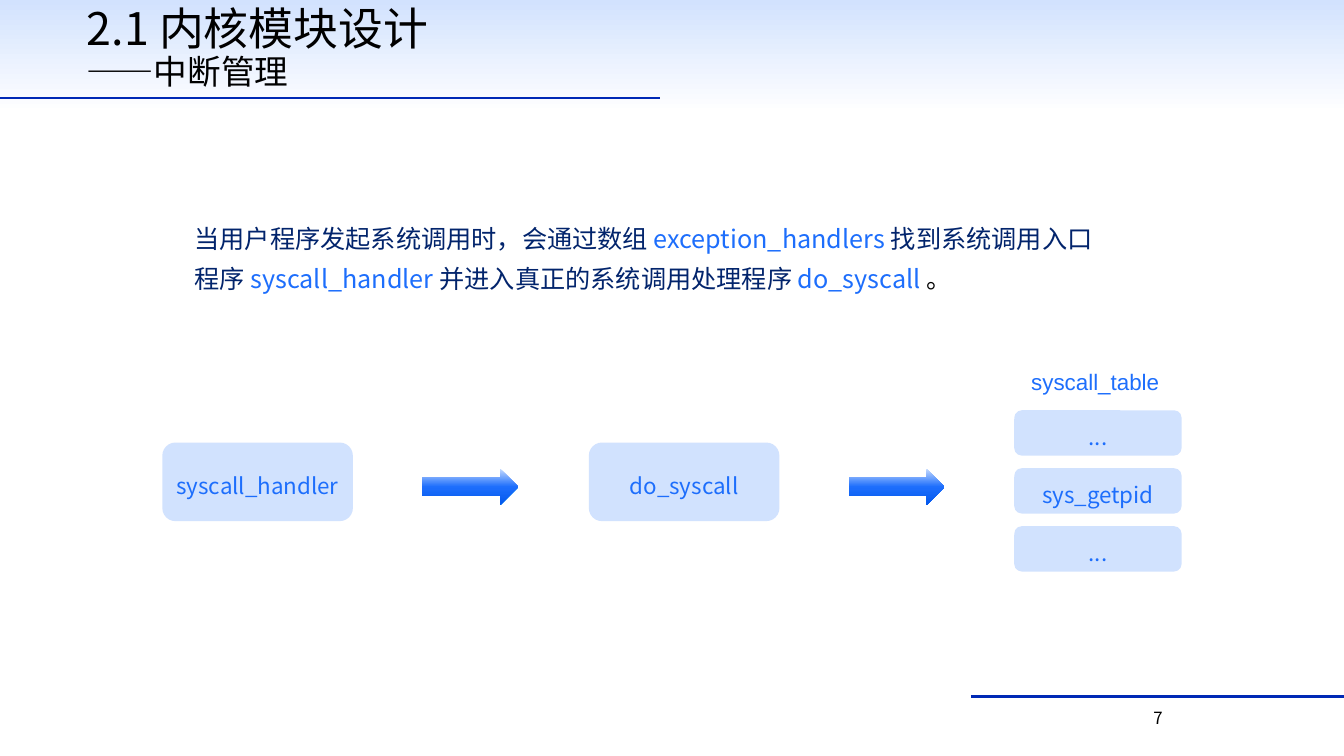
"""Build the interrupt management slide."""
from dataclasses import dataclass

from lxml import etree
from pptx import Presentation
from pptx import util as u
from pptx.dml.color import RGBColor
from pptx.enum import shapes, text
from pptx.oxml.ns import qn


@dataclass(frozen=True)
class Theme:
    """Colours, fonts and type sizes."""
    black: str = "000000"
    navy: str = "02246C"
    blue: str = "1D6EFC"
    rule: str = "0029B5"
    backdrop: tuple = ((85, "FFFFFF"), (100, "D2E2FE"))
    arrow: tuple = ((0, "C6DBFE"), (50, "1D6EFC"), (100, "0358EC"))
    tint: int = 20
    font: str = "Noto Sans CJK SC"
    font_dots: str = "Noto Sans CJK JP"
    font_label: str = "Arial"
    title: int = 32
    subtitle: int = 24
    body: int = 18
    label: int = 16
    page: int = 12
    rule_width: float = 1.75
    spacing: float = 1.3


class Deck:
    """Holds the theme and the current slide."""

    def __init__(self, prs, theme):
        """Add a title-only slide with a gradient background."""
        self.t = theme
        self.s = prs.slides.add_slide(prs.slide_layouts[5])
        self.gradient(self.s.background.fill, self.s._element, theme.backdrop, 90)

    def gradient(self, fill, element, stops, angle):
        """Give a fill a linear gradient with the listed stops."""
        fill.gradient()
        fill.gradient_angle = angle
        gs_list = next(element.iter(qn("a:gsLst")))
        for gs in list(gs_list):
            gs_list.remove(gs)
        for pos, colour in stops:
            gs = etree.SubElement(gs_list, qn("a:gs"), pos=str(pos * 1000))
            etree.SubElement(gs, qn("a:srgbClr"), val=colour)

    def run(self, p, words, size, colour, font=None):
        """Append a formatted run to a paragraph."""
        r = p.add_run()
        r.text = words
        face = font or self.t.font
        for name, value in {"size": u.Pt(size), "name": face}.items():
            setattr(r.font, name, value)
        r.font.color.rgb = RGBColor.from_string(colour)
        etree.SubElement(r._r.get_or_add_rPr(), qn("a:ea"), typeface=face)

    def frame(self, sp, align, spacing, **fmt):
        """Format a text frame and return its first paragraph."""
        for name, value in fmt.items():
            setattr(sp.text_frame, name, value)
        p = sp.text_frame.paragraphs[0]
        for name, value in {"alignment": align, "line_spacing": spacing}.items():
            setattr(p, name, value)
        return p

    def title(self, box, heading, subheading):
        """Place the two-line title."""
        sp = self.s.shapes.title
        sp.left, sp.top, sp.width, sp.height = map(u.Inches, box)
        p = self.frame(sp, text.PP_ALIGN.LEFT, 0.9, word_wrap=False,
                       auto_size=text.MSO_AUTO_SIZE.NONE,
                       vertical_anchor=text.MSO_ANCHOR.BOTTOM)
        self.run(p, heading, self.t.title, self.t.black)
        p.add_line_break()
        self.run(p, subheading, self.t.subtitle, self.t.black)

    def textbox(self, box, runs, size, font=None, align=text.PP_ALIGN.LEFT, wrap=True):
        """Add a text box made of (words, colour) runs."""
        sp = self.s.shapes.add_textbox(*map(u.Inches, box))
        p = self.frame(sp, align, self.t.spacing, word_wrap=wrap,
                       auto_size=text.MSO_AUTO_SIZE.SHAPE_TO_FIT_TEXT)
        for words, colour in runs:
            self.run(p, words, size, colour, font)

    def shape(self, kind, box):
        """Add a preset shape without line or shadow."""
        sp = self.s.shapes.add_shape(kind, *map(u.Inches, box))
        sp.shadow.inherit = False
        sp.line.fill.background()
        return sp

    def node(self, box, words, font=None, wrap=False):
        """Add a tinted rounded box with a centred label."""
        sp = self.shape(shapes.MSO_SHAPE.ROUNDED_RECTANGLE, box)
        sp.fill.solid()
        sp.fill.fore_color.rgb = RGBColor.from_string(self.t.blue)
        colour = next(sp._element.spPr.iter(qn("a:srgbClr")))
        etree.SubElement(colour, qn("a:alpha"), val=str(self.t.tint * 1000))
        p = self.frame(sp, text.PP_ALIGN.CENTER, self.t.spacing, word_wrap=wrap,
                       vertical_anchor=text.MSO_ANCHOR.MIDDLE)
        self.run(p, words, self.t.label, self.t.blue, font)

    def arrow(self, box):
        """Add a block arrow with a gradient fill."""
        sp = self.shape(shapes.MSO_SHAPE.RIGHT_ARROW, box)
        self.gradient(sp.fill, sp._element, self.t.arrow, 270)

    def rule(self, left, right, top):
        """Add a horizontal rule."""
        ends = map(u.Inches, (left, top, right, top))
        sp = self.s.shapes.add_connector(shapes.MSO_CONNECTOR.STRAIGHT, *ends)
        sp.line.width = u.Pt(self.t.rule_width)
        sp.line.color.rgb = RGBColor.from_string(self.t.rule)
        etree.SubElement(sp._element.spPr, qn("a:effectLst"))


def main():
    """Build and save the slide."""
    prs = Presentation()
    prs.slide_width, prs.slide_height = u.Inches(13.33), u.Inches(7.5)
    t = Theme()
    d = Deck(prs, t)

    d.title((0.76, 0.07, 4.09, 0.89), "2.1 内核模块设计", "——中断管理")
    d.rule(0, 6.55, 0.97)
    d.rule(9.63, 13.33, 6.91)

    d.textbox((1.83, 2.08, 9.33, 0.89), [
        ("当用户程序发起系统调用时，会通过数组", t.navy),
        (" exception_handlers ", t.blue),
        ("找到系统调用入口程序", t.navy),
        (" syscall_handler ", t.blue),
        ("并进入真正的系统调用处理程序", t.navy),
        (" do_syscall ", t.blue),
        ("。", t.black),
    ], t.body)

    step = 4.23
    for i, name in enumerate(("syscall_handler", "do_syscall")):
        d.node((1.61 + i * step, 4.39, 1.89, 0.78), name)
        d.arrow((4.19 + i * step, 4.65, 0.95, 0.36))

    d.textbox((10.13, 3.52, 1.54, 0.44), [("syscall_table", t.blue)],
              t.label, t.font_label, wrap=False)
    entries = (("...", t.font_dots), ("sys_getpid", t.font), ("...", t.font_dots))
    for i, (name, font) in enumerate(entries):
        d.node((10.06, 4.07 + i * 0.575, 1.66, 0.45), name, font, wrap=True)

    d.textbox((9.52, 6.91, 3.93, 0.36), [("7", t.black)], t.page,
              align=text.PP_ALIGN.CENTER)
    prs.save("out.pptx")


if __name__ == "__main__":
    main()
